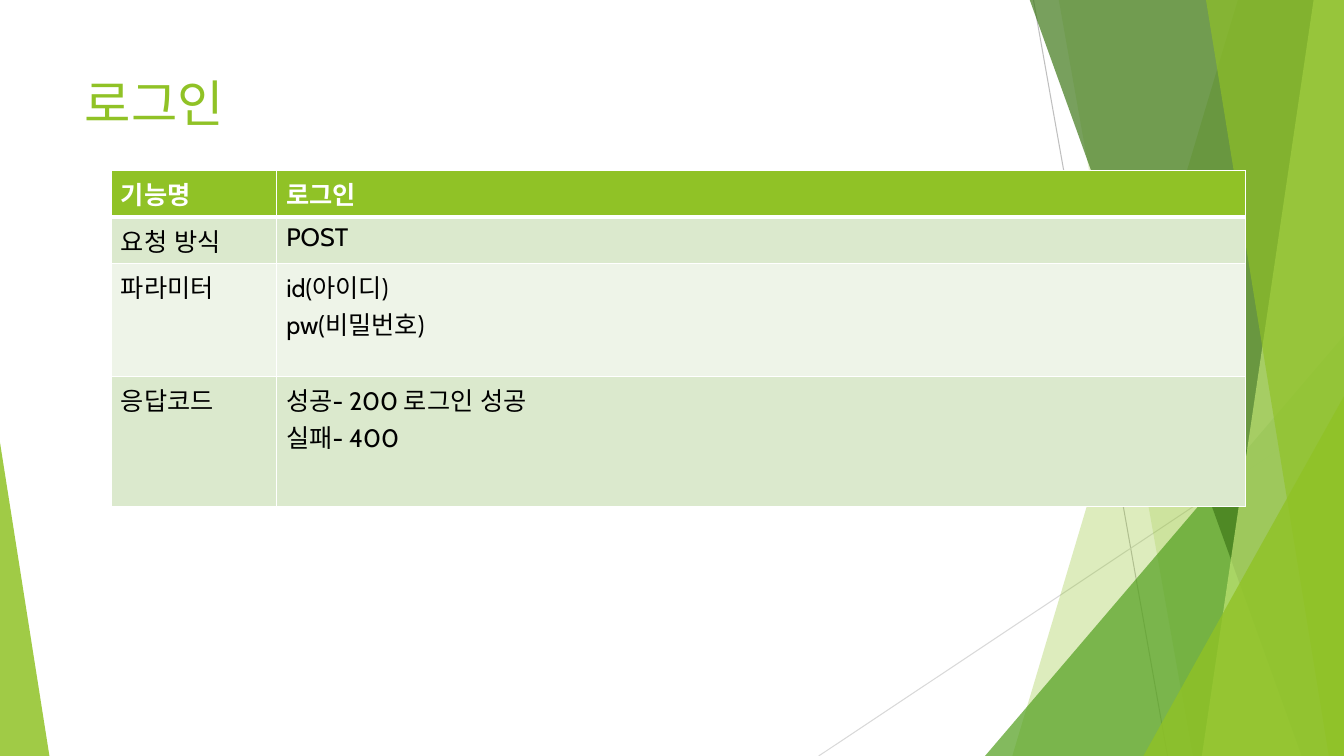
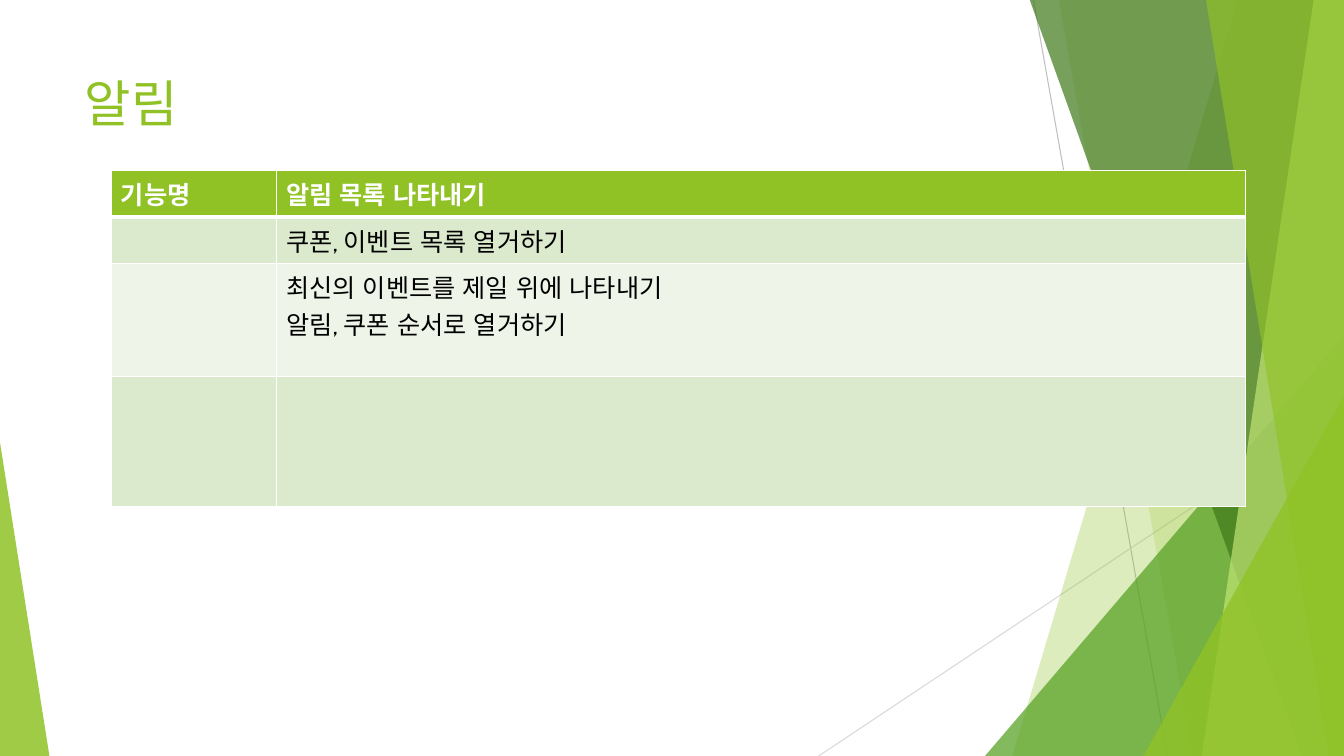
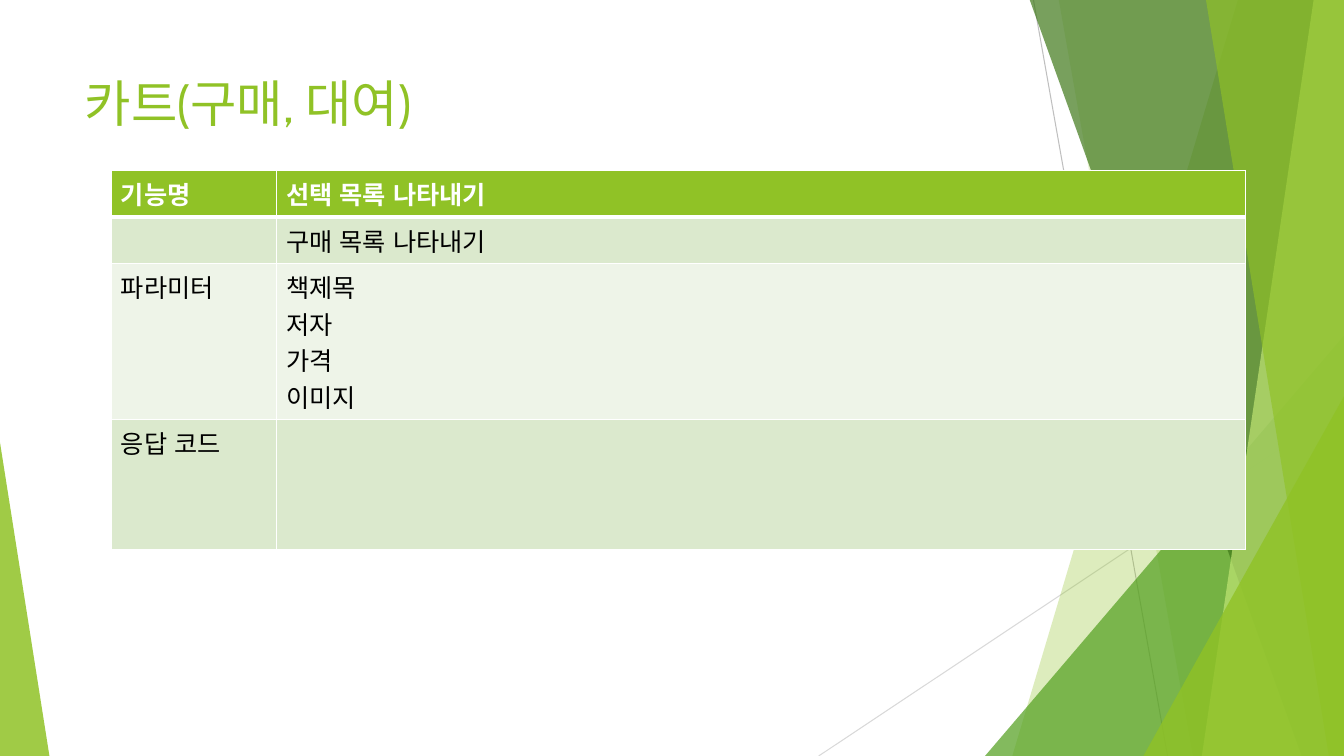
from lxml import etree
from pptx import Presentation
from pptx.dml.color import RGBColor
from pptx.enum.lang import MSO_LANGUAGE_ID
from pptx.enum.shapes import MSO_CONNECTOR, MSO_SHAPE
from pptx.enum.text import MSO_ANCHOR, MSO_AUTO_SIZE, PP_ALIGN
from pptx.oxml.ns import qn
from pptx.util import Pt

KOREAN = MSO_LANGUAGE_ID.KOREAN
STRAIGHT = MSO_CONNECTOR.STRAIGHT
TRIANGLE = MSO_SHAPE.ISOSCELES_TRIANGLE
TOP = MSO_ANCHOR.TOP
SHRINK = MSO_AUTO_SIZE.TEXT_TO_FIT_SHAPE
LEFT = PP_ALIGN.LEFT

WHITE = RGBColor(0xFF, 0xFF, 0xFF)
BLACK = RGBColor(0x00, 0x00, 0x00)
LIME = RGBColor(0x90, 0xC2, 0x26)
GREEN = RGBColor(0x54, 0xA0, 0x21)
DARK_GREEN = RGBColor(0x3F, 0x78, 0x19)
PALE_LIME = RGBColor(0xC0, 0xE4, 0x74)
BAND_DARK = RGBColor(0xDB, 0xE9, 0xCD)
BAND_LIGHT = RGBColor(0xEE, 0xF4, 0xE8)
GRAY = RGBColor(0xBF, 0xBF, 0xBF)
LIGHT_GRAY = RGBColor(0xD9, 0xD9, 0xD9)

FONT = "Cabin"
PX = 9144
WIDTH, HEIGHT = 1333, 750
TITLE_BOX = (74, 67, 940, 77)
TABLE_LEFT, TABLE_TOP = 110, 169
COLUMNS = (164, 961)
ROWS = (43, 43, 112, 129)

PAGES = [
    ("로그인", [
        ("기능명", "로그인"),
        ("요청 방식", "POST"),
        ("파라미터", "id(아이디)\npw(비밀번호)"),
        ("응답코드", "성공- 200 로그인 성공\n실패- 400"),
    ]),
    ("알림", [
        ("기능명", "알림 목록 나타내기"),
        ("", "쿠폰, 이벤트 목록 열거하기"),
        ("", "최신의 이벤트를 제일 위에 나타내기\n알림, 쿠폰 순서로 열거하기"),
        ("", ""),
    ]),
    ("카트(구매, 대여)", [
        ("기능명", "선택 목록 나타내기"),
        ("", "구매 목록 나타내기"),
        ("파라미터", "책제목\n저자\n가격\n이미지"),
        ("응답 코드", ""),
    ]),
]

RAYS = [
    ((1025, 0), (1158, HEIGHT), GRAY),
    ((WIDTH, 403), (812, HEIGHT), LIGHT_GRAY),
]

# kind, geometry, colour, opacity
FACETS = [
    ("band", (1228, 1004), LIME, 30),
    ("band", (1050, 1183), LIME, 20),
    ("corner", (977, 333, 356, 1), GREEN, 72),
    ("band", (1021, 1291), DARK_GREEN, 70),
    ("band", (1303, 1192), PALE_LIME, 70),
    ("band", (1196, 1318), LIME, 65),
    ("corner", (1134, 393, 199, 1), LIME, 80),
    ("corner", (0, 439, 49, 0), LIME, 85),
]
FACETS_TOP = -1


def px(*lengths):
    return [length * PX for length in lengths]


def add_ray(shapes, start, end, color):
    ray = shapes.add_connector(STRAIGHT, *px(*start, *end))
    ray.line.color.rgb = color
    ray.line.width = Pt(0.75)
    etree.SubElement(ray._element.spPr, qn("a:effectLst"))


def add_facet(shapes, kind, geometry, color, opacity):
    if kind == "band":
        top_x, bottom_x = geometry
        outline = shapes.build_freeform(top_x, FACETS_TOP, scale=PX)
        outline.add_line_segments(
            [(WIDTH, FACETS_TOP), (WIDTH, HEIGHT), (bottom_x, HEIGHT)], close=True)
        facet = outline.convert_to_shape()
    else:
        left, top, width, apex = geometry
        facet = shapes.add_shape(TRIANGLE, *px(left, top, width, HEIGHT - top))
        facet.adjustments[0] = apex
    facet.shadow.inherit = False
    facet.line.fill.background()
    facet.fill.solid()
    facet.fill.fore_color.rgb = color
    tint = facet._element.spPr.find(".//" + qn("a:srgbClr"))
    etree.SubElement(tint, qn("a:alpha"), val=str(opacity * 1000))


def decorate_layout(layout, slide):
    layout_title = layout.placeholders[0]
    layout_title.left, layout_title.top, layout_title.width, layout_title.height = px(*TITLE_BOX)
    before = len(slide.shapes)
    for ray in RAYS:
        add_ray(slide.shapes, *ray)
    for facet in FACETS:
        add_facet(slide.shapes, *facet)
    first_placeholder = layout_title._element
    for number, shape in enumerate(list(slide.shapes)[before:], start=100):
        shape._element.find(".//" + qn("p:cNvPr")).set("id", str(number))
        first_placeholder.addprevious(shape._element)


def style_text(frame, size, color, bold):
    for paragraph in frame.paragraphs:
        paragraph.alignment = LEFT
        for run in paragraph.runs:
            run.font.name = FONT
            run.font.size = Pt(size)
            run.font.bold = bold
            run.font.color.rgb = color
            run.font.language_id = KOREAN


def set_borders(cell, bottom_width):
    properties = cell._tc.get_or_add_tcPr()
    for side, width in (("L", 1), ("R", 1), ("T", 1), ("B", bottom_width)):
        border = etree.SubElement(properties, qn("a:ln" + side), w=str(Pt(width)))
        fill = etree.SubElement(border, qn("a:solidFill"))
        etree.SubElement(fill, qn("a:srgbClr"), val=str(WHITE))


def add_title(slide, text):
    title = slide.shapes.title
    frame = title.text_frame
    frame.text = text
    frame.vertical_anchor = TOP
    frame.auto_size = SHRINK
    style_text(frame, 36, LIME, False)


def add_spec_table(slide, rows):
    table = slide.shapes.add_table(
        len(ROWS), len(COLUMNS),
        *px(TABLE_LEFT, TABLE_TOP, sum(COLUMNS), sum(ROWS))).table
    for column, width in zip(table.columns, COLUMNS):
        column.width = width * PX
    for row, height in zip(table.rows, ROWS):
        row.height = height * PX
    for r, texts in enumerate(rows):
        header = r == 0
        band = LIME if header else BAND_DARK if r % 2 else BAND_LIGHT
        for c, text in enumerate(texts):
            cell = table.cell(r, c)
            set_borders(cell, 3 if header else 1)
            cell.fill.solid()
            cell.fill.fore_color.rgb = band
            cell.text_frame.text = text
            style_text(cell.text_frame, 18, WHITE if header else BLACK, header)
            if r == 1:
                top_border = cell._tc.tcPr.find(qn("a:lnT"))
                top_border.set("w", str(Pt(3)))


def main():
    deck = Presentation()
    deck.slide_width, deck.slide_height = px(WIDTH, HEIGHT)
    layout = deck.slide_layouts[5]
    slides = [deck.slides.add_slide(layout) for _ in PAGES]
    decorate_layout(layout, slides[0])
    for slide, (title, rows) in zip(slides, PAGES):
        add_title(slide, title)
        add_spec_table(slide, rows)
    deck.save("out.pptx")


if __name__ == "__main__":
    main()
